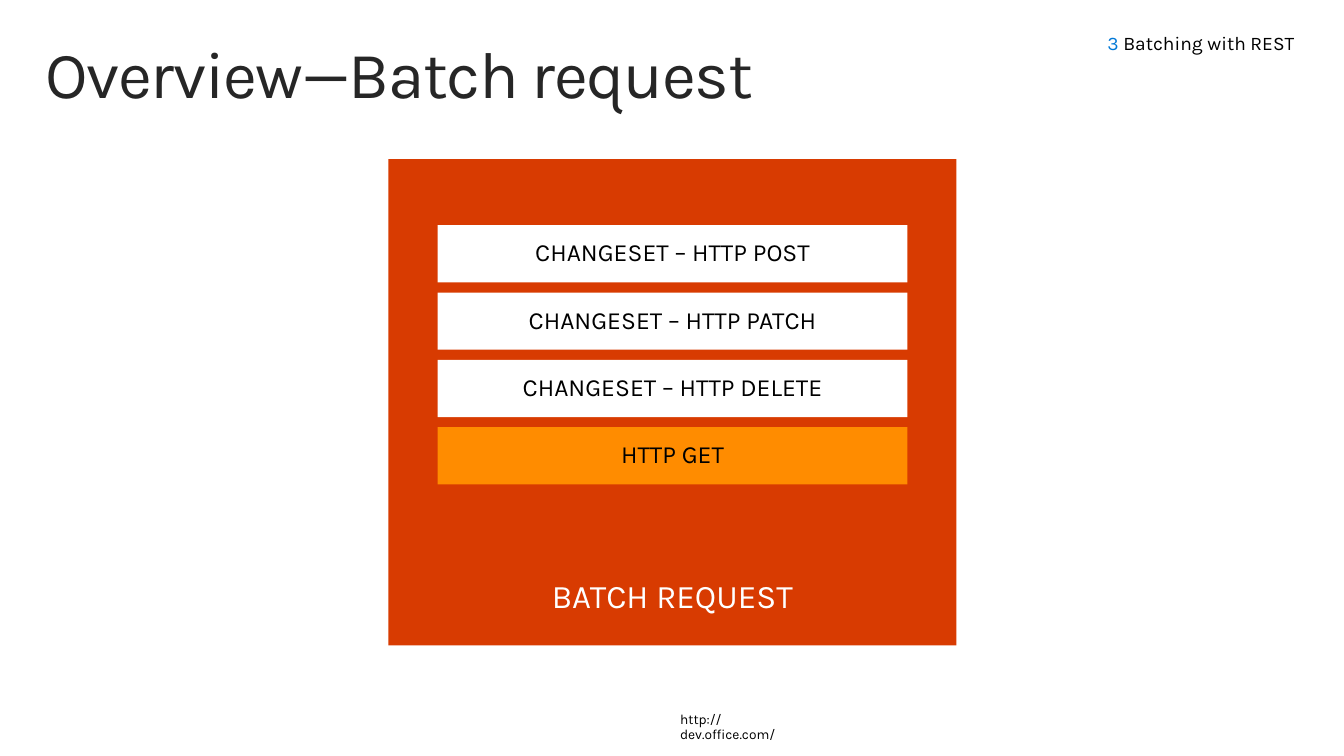
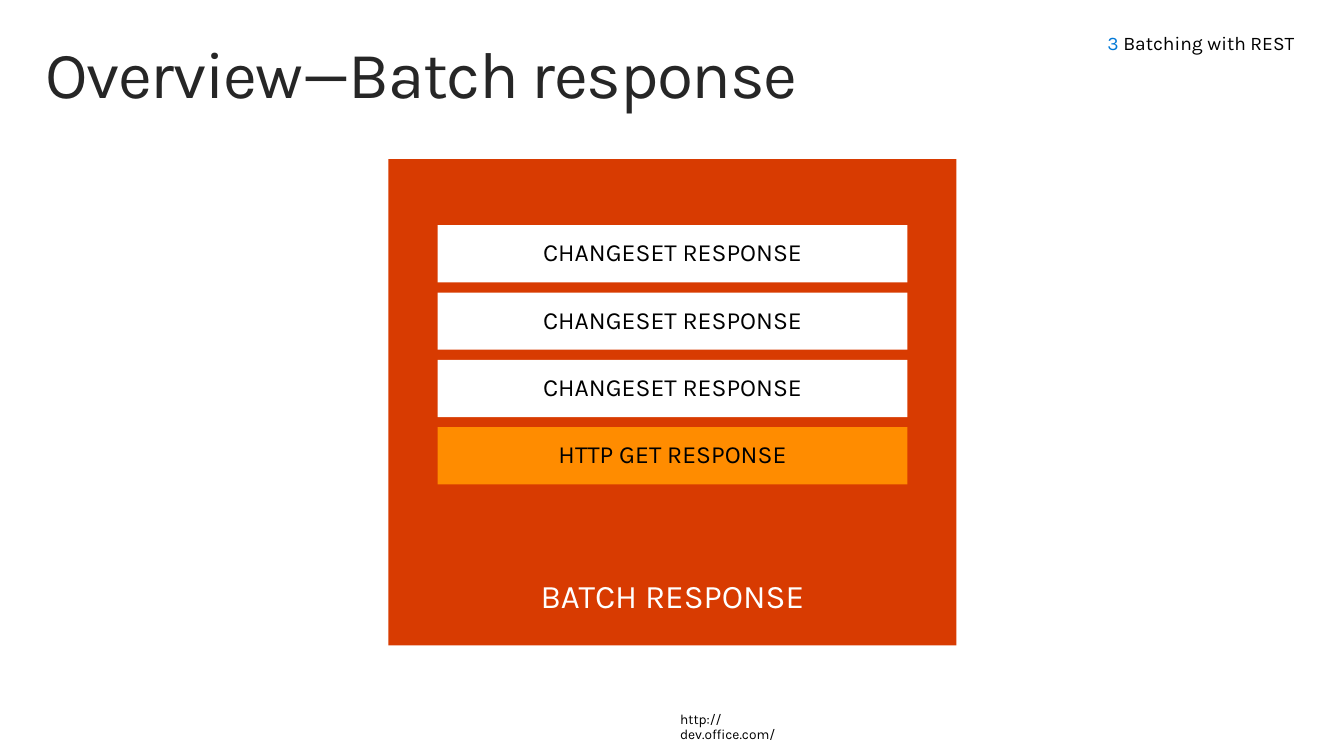
import pptx
import pptx.dml.color
import pptx.enum.shapes
import pptx.enum.text
import pptx.util

Cm = pptx.util.Cm
ALIGN = pptx.enum.text.PP_ALIGN
ANCHOR = pptx.enum.text.MSO_ANCHOR

SLIDES = [
    ("Overview—Batch request", "BATCH REQUEST",
     ["CHANGESET – HTTP POST", "CHANGESET – HTTP PATCH",
      "CHANGESET – HTTP DELETE", "HTTP GET"]),
    ("Overview—Batch response", "BATCH RESPONSE",
     ["CHANGESET RESPONSE"] * 3 + ["HTTP GET RESPONSE"]),
]


def color(value):
    return pptx.dml.color.RGBColor.from_string(value)


class Deck:
    """Holds the shared style and the slide being built."""

    FONT = "Karla"
    BLACK, WHITE, GRAY = "000000", "FFFFFF", "262626"
    RED, ORANGE, BLUE = "D83B01", "FF8C00", "0078D7"
    WIDE_INSETS = (0.41, 0.25, 0.41, 0.25)
    BAR_TOP, BAR_HEIGHT, BAR_PITCH = 5.79, 1.47, 1.73

    def __init__(self):
        self.presentation = pptx.Presentation()
        self.presentation.slide_width = Cm(34.54)
        self.presentation.slide_height = Cm(19.43)
        self.slide = None

    def new_slide(self):
        layout = self.presentation.slide_layouts[6]
        self.slide = self.presentation.slides.add_slide(layout)
        fill = self.slide.background.fill
        fill.solid()
        fill.fore_color.rgb = color(self.WHITE)

    def set_text(self, shape, runs, size, insets, align=ALIGN.LEFT,
                 anchor=ANCHOR.TOP, line_spacing=0.9, wrap=True):
        frame = shape.text_frame
        frame.word_wrap = wrap
        frame.vertical_anchor = anchor
        (frame.margin_left, frame.margin_top,
         frame.margin_right, frame.margin_bottom) = map(Cm, insets)
        paragraph = frame.paragraphs[0]
        paragraph.alignment = align
        paragraph.line_spacing = line_spacing
        for text, text_color in runs:
            run = paragraph.add_run()
            run.text = text
            run.font.name = self.FONT
            run.font.size = pptx.util.Pt(size)
            run.font.color.rgb = color(text_color)
        return paragraph

    def text_box(self, place, runs, size, insets, **options):
        shape = self.slide.shapes.add_textbox(*map(Cm, place))
        return self.set_text(shape, runs, size, insets, **options)

    def rectangle(self, place, fill, text, text_color, size, anchor,
                  bottom_inset=0.13):
        shape = self.slide.shapes.add_shape(
            pptx.enum.shapes.MSO_SHAPE.RECTANGLE, *map(Cm, place))
        shape.shadow.inherit = False
        shape.fill.solid()
        shape.fill.fore_color.rgb = color(fill)
        shape.line.fill.background()
        self.set_text(shape, [(text, text_color)], size,
                      (0.25, 0.13, 0.25, bottom_inset),
                      align=ALIGN.CENTER, anchor=anchor, wrap=False)

    def footer(self):
        self.text_box((17.07, 18.06, 4.22, 0.89),
                      [("http://dev.office.com/", self.BLACK)], 10,
                      self.WIDE_INSETS)

    def title(self, text):
        paragraph = self.text_box((0.76, 0.81, 33.02, 2.54),
                                  [(text, self.GRAY)], 48, self.WIDE_INSETS)
        for run in paragraph.runs:
            run.font._element.set("spc", "-100")

    def section_label(self):
        self.text_box((22.12, 0.81, 11.66, 1.04),
                      [("3 ", self.BLUE), ("Batching with REST", self.BLACK)],
                      14, (0.25, 0, 0.51, 0), align=ALIGN.RIGHT,
                      line_spacing=1.0)

    def batch(self, label, parts):
        self.rectangle((9.98, 4.09, 14.6, 12.5), self.RED, label, self.WHITE,
                       24, ANCHOR.BOTTOM, bottom_inset=0.76)
        for index, part in enumerate(parts):
            fill = self.ORANGE if part.startswith("HTTP GET") else self.WHITE
            top = self.BAR_TOP + index * self.BAR_PITCH
            self.rectangle((11.25, top, 12.07, self.BAR_HEIGHT), fill, part,
                           self.BLACK, 18, ANCHOR.MIDDLE)


def main():
    deck = Deck()
    for title, label, parts in SLIDES:
        deck.new_slide()
        deck.footer()
        deck.title(title)
        deck.batch(label, parts)
        deck.section_label()
    deck.presentation.save("out.pptx")


if __name__ == "__main__":
    main()
